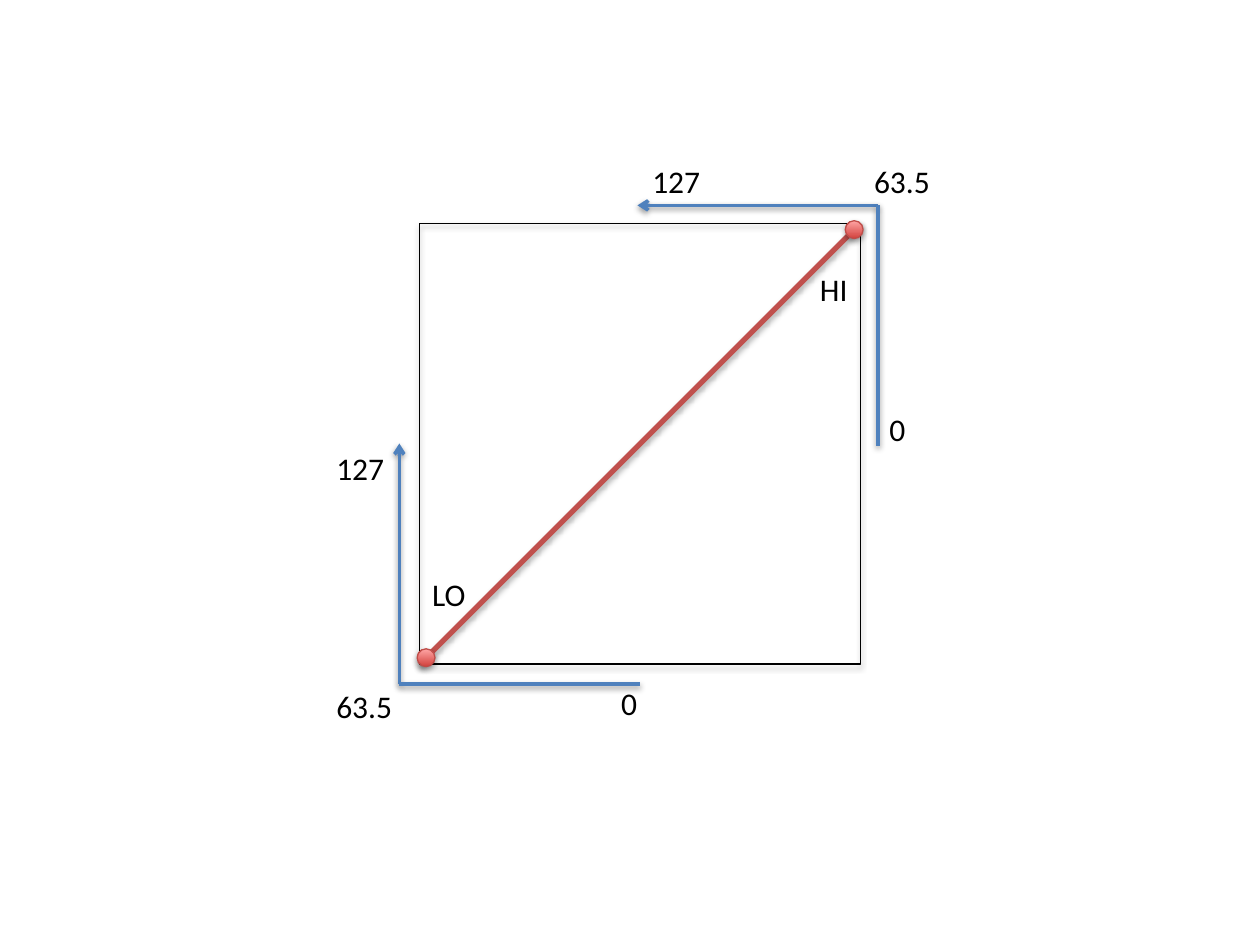
"""Draw a square whose diagonal joins LO and HI, with a scaled bracket at each end."""
from dataclasses import dataclass

import lxml.etree
import pptx
import pptx.dml.color
import pptx.enum.shapes
import pptx.enum.text
import pptx.oxml.ns
import pptx.util
from pptx.util import Cm

COLOURS = {
    "ink": "000000",
    "bracket": "4F81BD",
    "diagonal": "C0504D",
    "dot_edge": "BF4C48",
    "dot_dark": "D1403C",
    "dot_light": "FFA6A5",
}
LEFT, TOP, SIDE = 8.46, 4.5, 8.89
ARM = 4.85
DOT = 0.36
LABEL_HEIGHT = 1.02


@dataclass(frozen=True)
class Bracket:
    x: float
    y: float
    arrow_tip: tuple[float, float]
    plain_end: tuple[float, float]


@dataclass(frozen=True)
class Label:
    text: str
    x: float
    y: float
    width: float


BRACKETS = [
    Bracket(8.05, 13.79, (8.05, 13.79 - ARM), (8.05 + ARM, 13.79)),
    Bracket(17.7, 4.14, (17.7 - ARM, 4.14), (17.7, 4.14 + ARM)),
]
LABELS = [
    Label("63.5", 6.53, 13.72, 1.65),
    Label("0", 12.27, 13.67, 0.84),
    Label("127", 6.53, 8.92, 1.5),
    Label("63.5", 17.37, 3.15, 1.65),
    Label("0", 17.68, 8.15, 0.84),
    Label("127", 12.9, 3.15, 1.5),
    Label("LO", 8.46, 11.46, 1.22),
    Label("HI", 16.28, 5.31, 1.07),
]
DOTS = [(8.41, 13.08), (17.04, 4.45)]


def rgb(name: str) -> pptx.dml.color.RGBColor:
    """Return the named colour."""
    return pptx.dml.color.RGBColor.from_string(COLOURS[name])


def add_child(parent, tag: str, **attributes: str):
    """Append a drawing element to its parent."""
    return lxml.etree.SubElement(parent, pptx.oxml.ns.qn(tag), attributes)


def style_line(shape, colour: str, width: float) -> None:
    """Set the line colour and width."""
    shape.line.color.rgb = rgb(colour)
    shape.line.width = pptx.util.Pt(width)


def add_shadow(shape, distance: float, opacity: int) -> None:
    """Give the shape a soft shadow straight below it."""
    effects = add_child(shape._element.spPr, "a:effectLst")
    shadow = add_child(
        effects, "a:outerShdw", blurRad=str(pptx.util.Pt(3.15)),
        dist=str(pptx.util.Pt(distance)), dir="5400000", rotWithShape="0",
    )
    colour = add_child(shadow, "a:srgbClr", val=COLOURS["ink"])
    add_child(colour, "a:alpha", val=str(opacity * 1000))


def draw_line(page, start: tuple[float, float], end: tuple[float, float],
              colour: str, width: float, distance: float, opacity: int,
              arrow: bool = False) -> None:
    """Draw a shadowed line, with an arrowhead at its start if wanted."""
    line = page.shapes.add_connector(
        pptx.enum.shapes.MSO_CONNECTOR.STRAIGHT, *map(Cm, start + end))
    style_line(line, colour, width)
    if arrow:
        outline = line._element.spPr.find(pptx.oxml.ns.qn("a:ln"))
        add_child(outline, "a:headEnd", type="arrow")
    add_shadow(line, distance, opacity)


def draw_square(page) -> None:
    """Draw the unfilled square."""
    square = page.shapes.add_shape(
        pptx.enum.shapes.MSO_SHAPE.RECTANGLE, Cm(LEFT), Cm(TOP), Cm(SIDE), Cm(SIDE))
    square.fill.background()
    style_line(square, "ink", 0.75)
    add_shadow(square, 1.8, 35)


def draw_bracket(page, bracket: Bracket) -> None:
    """Draw the arrowed arm and the plain arm of a bracket."""
    corner = (bracket.x, bracket.y)
    draw_line(page, bracket.arrow_tip, corner, "bracket", 2, 1.6, 38, arrow=True)
    draw_line(page, corner, bracket.plain_end, "bracket", 2, 1.6, 38)


def draw_label(page, label: Label) -> None:
    """Write a label on one line."""
    box = page.shapes.add_textbox(
        Cm(label.x), Cm(label.y), Cm(label.width), Cm(LABEL_HEIGHT))
    frame = box.text_frame
    frame.word_wrap = False
    frame.auto_size = pptx.enum.text.MSO_AUTO_SIZE.SHAPE_TO_FIT_TEXT
    para = frame.paragraphs[0]
    para.text = label.text
    para.font.name = "Calibri"
    para.font.size = pptx.util.Pt(18)
    para.font.color.rgb = rgb("ink")


def draw_dot(page, x: float, y: float) -> None:
    """Draw an end point, shaded from dark at the bottom to light."""
    dot = page.shapes.add_shape(
        pptx.enum.shapes.MSO_SHAPE.OVAL, Cm(x), Cm(y), Cm(DOT), Cm(DOT))
    dot.fill.gradient()
    dot.fill.gradient_angle = 90
    for stop, colour in zip(dot.fill.gradient_stops, ("dot_dark", "dot_light")):
        stop.color.rgb = rgb(colour)
    style_line(dot, "dot_edge", 0.75)
    add_shadow(dot, 1.8, 35)


def main() -> None:
    """Build and save the deck."""
    deck = pptx.Presentation()
    deck.slide_width, deck.slide_height = Cm(25.4), Cm(19.05)
    page = deck.slides.add_slide(deck.slide_layouts[6])
    draw_square(page)
    for bracket in BRACKETS:
        draw_bracket(page, bracket)
    draw_line(page, (LEFT, TOP + SIDE), (LEFT + SIDE, TOP), "diagonal", 3, 1.8, 35)
    for label in LABELS:
        draw_label(page, label)
    for x, y in DOTS:
        draw_dot(page, x, y)
    deck.save("out.pptx")


if __name__ == "__main__":
    main()
